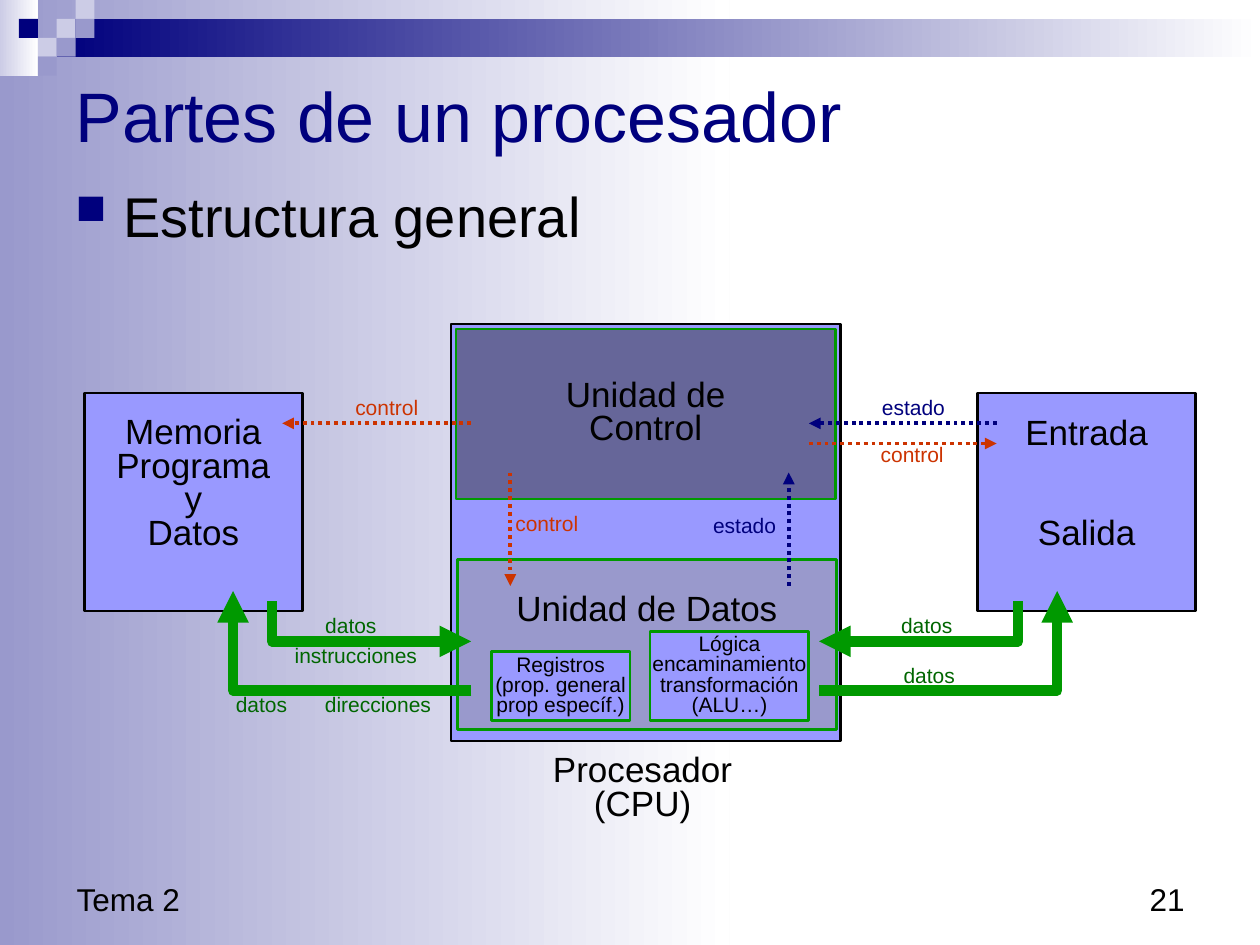
from dataclasses import dataclass

from lxml import etree
from pptx import Presentation
from pptx.dml.color import RGBColor
from pptx.enum.dml import MSO_LINE
from pptx.enum.shapes import MSO_CONNECTOR, MSO_SHAPE
from pptx.enum.text import MSO_ANCHOR, PP_ALIGN
from pptx.oxml.ns import qn
from pptx.util import Inches, Pt

RECT = MSO_SHAPE.RECTANGLE
STRAIGHT = MSO_CONNECTOR.STRAIGHT
DOTTED = MSO_LINE.ROUND_DOT
LEFT, CENTER, RIGHT = PP_ALIGN.LEFT, PP_ALIGN.CENTER, PP_ALIGN.RIGHT
TOP, MIDDLE, BOTTOM = MSO_ANCHOR.TOP, MSO_ANCHOR.MIDDLE, MSO_ANCHOR.BOTTOM


@dataclass(frozen=True)
class Theme:
    font: str = "Arial"
    navy: str = "00007D"
    lavender: str = "9999CC"
    pale: str = "CCCCE6"
    white: str = "FFFFFF"
    black: str = "000000"
    unit: str = "9999FF"
    control_unit: str = "666699"
    green: str = "009900"
    data_text: str = "006600"
    control: str = "CC3300"
    title_size: int = 40
    body_size: int = 32
    unit_size: int = 20
    footer_size: int = 18
    label_size: int = 12
    border: float = 1.5
    signal: float = 2.25
    bus: float = 6


THEME = Theme()


@dataclass(frozen=True)
class Box:
    left: float
    top: float
    width: float
    height: float

    def inner(self, dx, dy, width, height):
        """Box placed relative to this one's top left corner."""
        return Box(self.left + dx, self.top + dy, width, height)

    def point(self, dx, dy):
        return Inches(self.left + dx), Inches(self.top + dy)

    def emu(self):
        return [Inches(v) for v in (self.left, self.top, self.width, self.height)]


def rgb(color):
    return RGBColor.from_string(color)


def write(shape, lines, size, color=THEME.black, align=CENTER, anchor=MIDDLE,
          spacing=None, wrap=False):
    frame = shape.text_frame
    frame.word_wrap = wrap
    frame.vertical_anchor = anchor
    frame.text = "\n".join(lines)
    for paragraph in frame.paragraphs:
        paragraph.alignment = align
        paragraph.line_spacing = spacing
        paragraph.font.name = THEME.font
        paragraph.font.size = Pt(size)
        paragraph.font.color.rgb = rgb(color)
    return frame


def add_rect(slide, box, fill, border=None, end_fill=None):
    """Rectangle, filled evenly or fading from left to right into end_fill."""
    rect = slide.shapes.add_shape(RECT, *box.emu())
    rect.shadow.inherit = False
    if end_fill:
        rect.fill.gradient()
        rect.fill.gradient_angle = 0
        for stop, color, position in zip(rect.fill.gradient_stops, (fill, end_fill), (0, 1)):
            stop.color.rgb = rgb(color)
            stop.position = position
    else:
        rect.fill.solid()
        rect.fill.fore_color.rgb = rgb(fill)
    if border:
        rect.line.color.rgb = rgb(border)
        rect.line.width = Pt(THEME.border)
    else:
        rect.line.fill.background()
    return rect


def add_unit(slide, box, fill, border, lines, size=THEME.unit_size, room_below=0):
    """Labelled block; room_below keeps its lower part free of text."""
    unit = add_rect(slide, box, fill, border)
    frame = write(unit, lines, size, spacing=0.8)
    frame.margin_bottom = Inches(0.05 + room_below)
    return frame


def add_text(slide, box, lines, size, **style):
    return write(slide.shapes.add_textbox(*box.emu()), lines, size, **style)


def style_arrow(arrow, color, width):
    arrow.line.color.rgb = rgb(color)
    arrow.line.width = Pt(width)
    line = arrow.line._get_or_add_ln()
    etree.SubElement(line, qn("a:round"))
    etree.SubElement(line, qn("a:tailEnd"), type="triangle")


def add_signal(slide, box, start, end, color):
    """Dotted arrow for control and state."""
    signal = slide.shapes.add_connector(STRAIGHT, *box.point(*start), *box.point(*end))
    etree.SubElement(signal.element.spPr, qn("a:effectLst"))
    signal.line.dash_style = DOTTED
    style_arrow(signal, color, THEME.signal)


def add_bus(slide, box, points):
    """Thick bent arrow for data."""
    start, *rest = [box.point(*point) for point in points]
    builder = slide.shapes.build_freeform(*start)
    builder.add_line_segments(rest, close=False)
    bus = builder.convert_to_shape()
    bus.shadow.inherit = False
    bus.fill.background()
    style_arrow(bus, THEME.green, THEME.bus)


def add_backdrop(slide, box):
    add_rect(slide, box.inner(0, 0, 5.79, box.height), THEME.lavender, end_fill=THEME.white)
    add_rect(slide, box.inner(0, 0, 0.3, 0.6), THEME.pale, end_fill=THEME.white)
    add_rect(slide, box.inner(0.45, 0.15, box.width - 0.45, 0.3), THEME.navy,
             end_fill=THEME.white)
    side = 0.15
    tiles = [(3, 1, THEME.pale), (4, 0, THEME.pale), (4, 1, THEME.lavender),
             (2, 2, THEME.pale), (1, 1, THEME.navy), (3, 2, THEME.lavender),
             (2, 3, THEME.lavender), (2, 0, THEME.lavender)]
    for column, row, color in tiles[:-1]:
        add_rect(slide, box.inner(column * side, row * side, side, side), color)


def add_heading(slide, box):
    title = slide.shapes.title
    title.element.getparent().append(title.element)
    title.left, title.top, title.width, title.height = box.inner(0, 0, box.width, 0.81).emu()
    write(title, ["Partes de un procesador"], THEME.title_size, THEME.navy, LEFT, wrap=True)
    body = add_text(slide, box.inner(0, 0.89, box.width, 0.71), ["Estructura general"],
                    THEME.body_size, align=LEFT, anchor=TOP, wrap=True)
    properties = body.paragraphs[0]._p.get_or_add_pPr()
    indent = Inches(0.38)
    properties.set("marL", str(indent))
    properties.set("indent", str(-indent))
    bullet_color = etree.SubElement(properties, qn("a:buClr"))
    etree.SubElement(bullet_color, qn("a:srgbClr"), val=THEME.navy)
    etree.SubElement(properties, qn("a:buSzPct"), val="75000")
    etree.SubElement(properties, qn("a:buChar"), char="■")
    # Paragraph spacing goes in its own schema position.
    body.paragraphs[0].space_before = Pt(6.4)


def add_footer(slide, box):
    for dx, width, text, align in [(0, 3.17, "Tema 2", LEFT), (6.66, 2.33, "21", RIGHT)]:
        add_text(slide, box.inner(dx, 0, width, box.height), [text], THEME.footer_size,
                 align=align, anchor=BOTTOM, wrap=True)


def add_processor(slide, box):
    add_rect(slide, box, THEME.unit, THEME.black)
    add_unit(slide, box.inner(0.04, 0.04, 3.01, 1.35), THEME.control_unit, THEME.green,
             ["Unidad de", "Control"])
    add_unit(slide, box.inner(0.05, 1.87, 3.01, 1.35), THEME.lavender, THEME.green,
             ["Unidad de Datos"], room_below=0.53)
    add_unit(slide, box.inner(0.32, 2.6, 1.1, 0.55), THEME.unit, THEME.green,
             ["Registros", "(prop. general", "prop específ.)"], THEME.label_size)
    add_unit(slide, box.inner(1.58, 2.44, 1.26, 0.71), THEME.unit, THEME.green,
             ["Lógica", "encaminamiento", "transformación", "(ALU…)"], THEME.label_size)
    add_text(slide, box.inner(0.71, 3.38, 1.62, 0.64), ["Procesador", "(CPU)"],
             THEME.unit_size, anchor=TOP, spacing=0.8)


def add_links(slide, box):
    signals = [((3.07, 0.79), (1.57, 0.79), THEME.control),
               ((3.38, 1.18), (3.38, 2.08), THEME.control),
               ((5.59, 2.08), (5.59, 1.18), THEME.navy),
               ((7.24, 0.79), (5.75, 0.79), THEME.navy),
               ((5.75, 0.95), (7.24, 0.95), THEME.control)]
    for start, end, color in signals:
        add_signal(slide, box, start, end, color)

    memory_buses = [[(1.49, 2.2), (1.49, 2.52), (3.07, 2.52)],
                    [(3.07, 2.91), (1.18, 2.91), (1.18, 2.12)]]
    for points in memory_buses:
        add_bus(slide, box, points)
        add_bus(slide, box, [(8.9 - x, y) for x, y in points])

    labels = [("control", THEME.control, 0.7, [(2.05, 0.55), (3.32, 1.47), (6.22, 0.92)]),
              ("estado", THEME.navy, 0.7, [(4.89, 1.49), (6.23, 0.55)]),
              ("datos", THEME.data_text, 0.61,
               [(1.81, 2.28), (1.1, 2.91), (6.38, 2.28), (6.4, 2.68)]),
              ("instrucciones", THEME.data_text, 1.17, [(1.57, 2.52)]),
              ("direcciones", THEME.data_text, 1.04, [(1.81, 2.91)])]
    for text, color, width, places in labels:
        for dx, dy in places:
            add_text(slide, box.inner(dx, dy, width, 0.26), [text], THEME.label_size,
                     color=color, anchor=TOP, spacing=0.8)


def add_diagram(slide, box):
    side = 1.73
    add_unit(slide, box.inner(0, 0.55, side, side), THEME.unit, THEME.black,
             ["Memoria", "Programa", "y", "Datos"], room_below=0.27)
    add_processor(slide, box.inner(2.91, 0, 3.09, 3.31))
    ports = add_unit(slide, box.inner(box.width - side, 0.55, side, side), THEME.unit,
                     THEME.black, ["Entrada", "Salida"], room_below=0.27)
    ports.paragraphs[1].space_before = Pt(38)
    add_links(slide, box)


def main():
    deck = Presentation()
    deck.slide_width, deck.slide_height = Inches(10), Inches(7.5)
    slide = deck.slides.add_slide(deck.slide_layouts[5])
    add_backdrop(slide, Box(0, 0, 10, 7.5))
    add_footer(slide, Box(0.51, 6.83, 8.99, 0.5))
    add_heading(slide, Box(0.5, 0.5, 9, 1.6))
    add_diagram(slide, Box(0.67, 2.57, 8.82, 4.02))
    deck.save("out.pptx")


if __name__ == "__main__":
    main()
